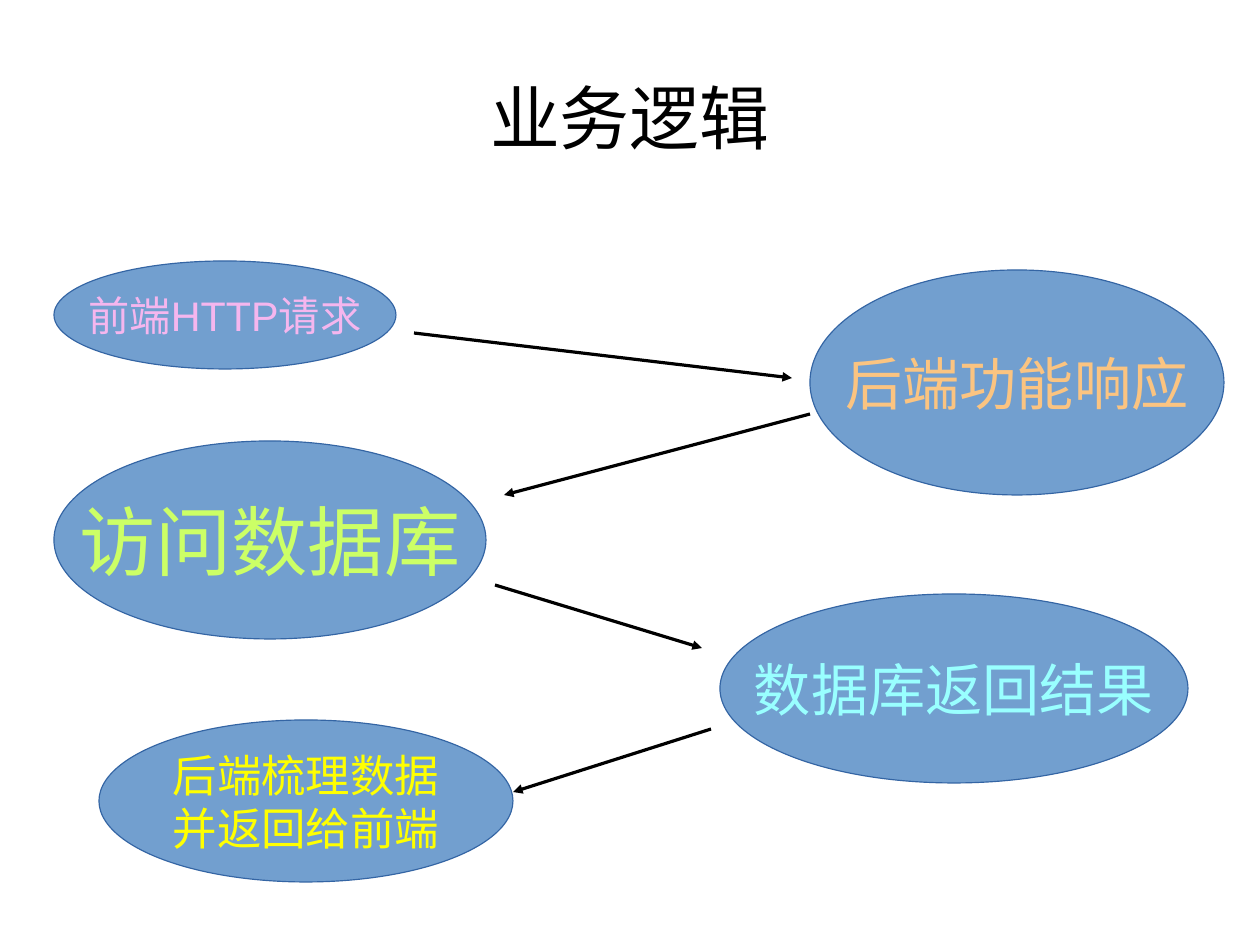
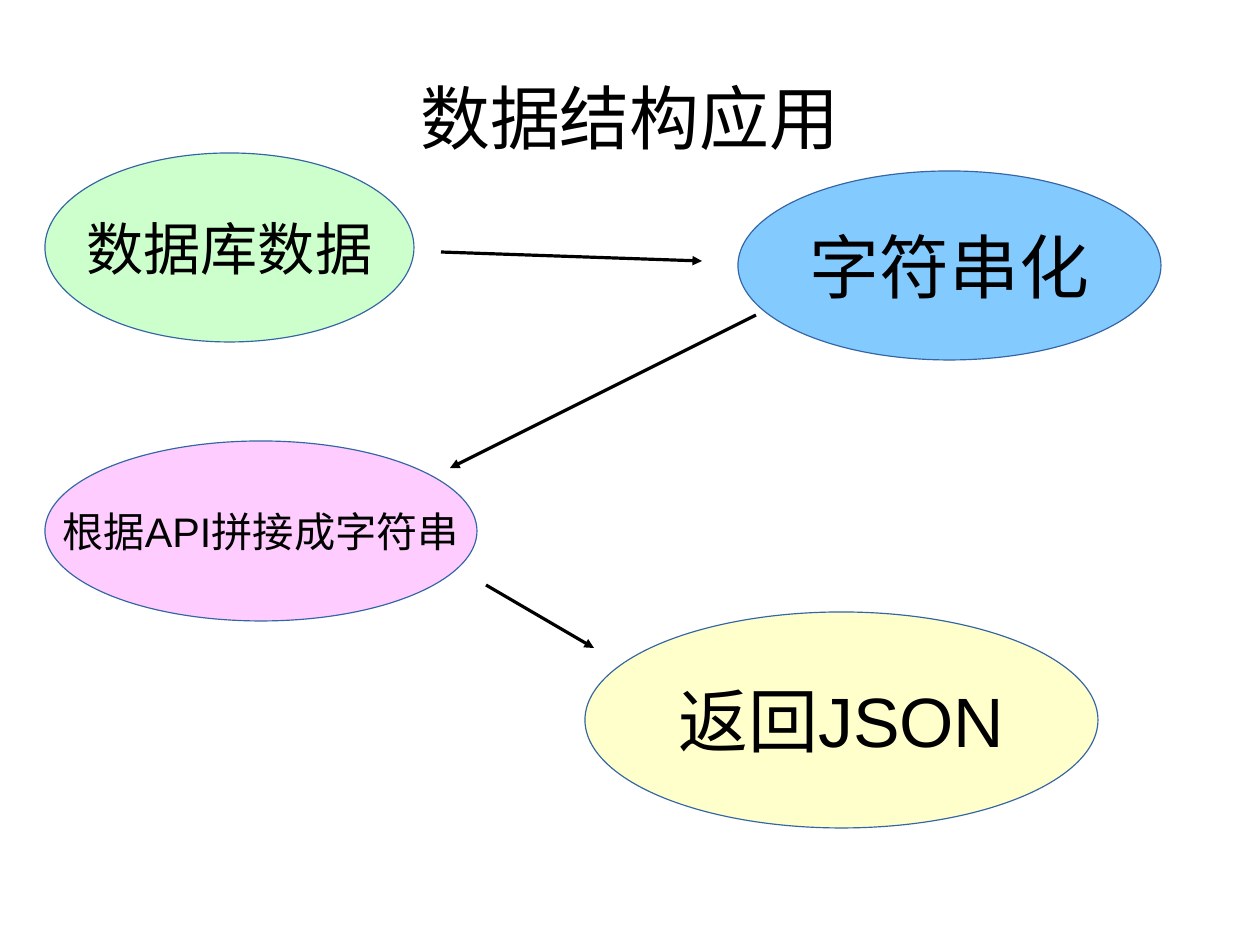
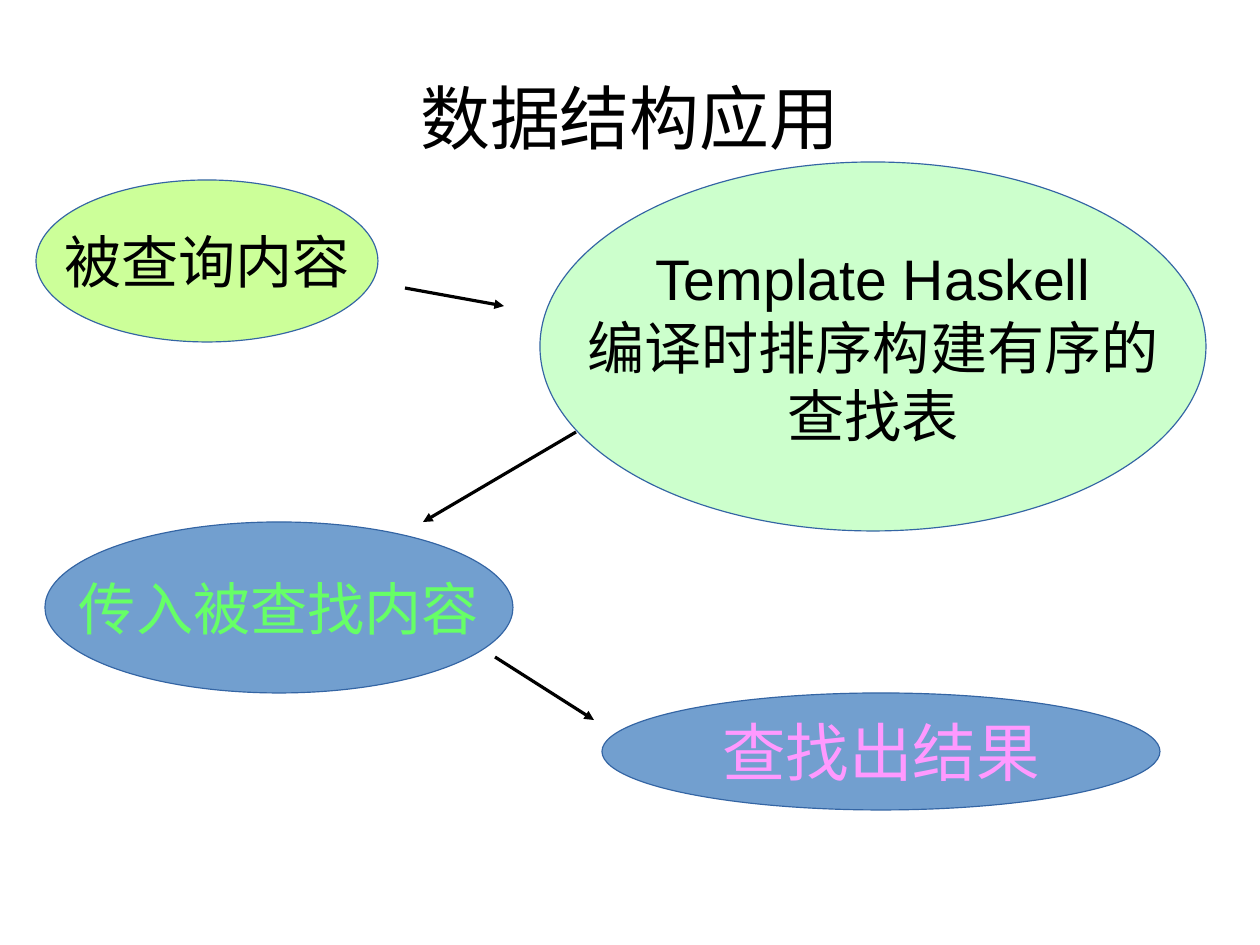
"""Build three flow slides of ellipses joined by arrows."""
from dataclasses import dataclass

from lxml.etree import SubElement
from pptx import Presentation
from pptx.dml.color import RGBColor
from pptx.enum.shapes import MSO_CONNECTOR, MSO_SHAPE
from pptx.enum.text import MSO_ANCHOR, MSO_AUTO_SIZE, PP_ALIGN
from pptx.oxml.ns import qn
from pptx.util import Emu, Pt


@dataclass(frozen=True)
class Theme:
    """Hold the colours, font and type sizes of the deck."""
    font: str = "Arial"
    black: str = "000000"
    outline: str = "3465A4"
    blue: str = "729FCF"
    sky: str = "83CAFF"
    mint: str = "CCFFCC"
    lime: str = "CCFF99"
    rose: str = "FFCCFF"
    cream: str = "FFFFCC"
    pink_text: str = "F5B6EE"
    orange_text: str = "FBC481"
    lime_text: str = "CCFF66"
    cyan_text: str = "99FFFF"
    yellow_text: str = "FFFF00"
    green_text: str = "66FF66"
    magenta_text: str = "FF99FF"
    small: int = 26
    compact: int = 28
    normal: int = 36
    big: int = 40
    title: int = 44
    huge: int = 48
    hairline: int = 0


THEME = Theme()
EMU_PER_PX = 8000
SLIDE_SIZE = (1260, 945)
TITLE_BOX = (63, 38, 1134, 158)
TITLE_ONLY = 5

LOGIC_STEPS = [
    ("前端HTTP请求", (54, 261, 342, 108), THEME.blue, THEME.pink_text, THEME.small),
    ("后端功能响应", (810, 270, 414, 225), THEME.blue, THEME.orange_text, THEME.normal),
    ("访问数据库", (54, 441, 432, 198), THEME.blue, THEME.lime_text, THEME.huge),
    ("数据库返回结果", (720, 594, 468, 189), THEME.blue, THEME.cyan_text, THEME.normal),
    ("后端梳理数据\n并返回给前端", (99, 720, 414, 162), THEME.blue, THEME.yellow_text, THEME.compact),
]
LOGIC_ARROWS = [
    (414, 333, 792, 378),
    (810, 414, 504, 495),
    (495, 585, 702, 648),
    (711, 729, 513, 792),
]
JSON_STEPS = [
    ("数据库数据", (45, 153, 369, 189), THEME.mint, THEME.black, THEME.normal),
    ("字符串化", (738, 171, 423, 189), THEME.sky, THEME.black, THEME.title),
    ("根据API拼接成字符串", (45, 441, 432, 180), THEME.rose, THEME.black, THEME.small),
    ("返回JSON", (585, 612, 513, 216), THEME.cream, THEME.black, THEME.title),
]
JSON_ARROWS = [
    (441, 252, 702, 261),
    (756, 315, 450, 468),
    (486, 585, 594, 648),
]
LOOKUP_STEPS = [
    ("被查询内容", (36, 180, 342, 162), THEME.lime, THEME.black, THEME.normal),
    ("Template Haskell\n编译时排序构建有序的\n查找表", (540, 162, 666, 369),
     THEME.mint, THEME.black, THEME.normal),
    ("传入被查找内容", (45, 522, 468, 171), THEME.blue, THEME.green_text, THEME.normal),
    ("查找出结果", (602, 693, 558, 117), THEME.blue, THEME.magenta_text, THEME.big),
]
LOOKUP_ARROWS = [
    (405, 288, 504, 306),
    (576, 432, 423, 522),
    (495, 657, 594, 720),
]


def px(*lengths):
    """Turn px lengths into EMU."""
    return [Emu(length * EMU_PER_PX) for length in lengths]


def write_text(frame, text, color, size):
    """Fill a text frame with centred text in one style."""
    frame.text = text
    frame.vertical_anchor = MSO_ANCHOR.MIDDLE
    for para in frame.paragraphs:
        para.alignment = PP_ALIGN.CENTER
        for span in para.runs:
            span.font.name = THEME.font
            span.font.size = Pt(size)
            span.font.color.rgb = RGBColor.from_string(color)


def add_title(slide, text):
    """Place and format the title placeholder."""
    title = slide.shapes.title
    title.left, title.top, title.width, title.height = px(*TITLE_BOX)
    frame = title.text_frame
    frame.auto_size = MSO_AUTO_SIZE.NONE
    frame.margin_left = frame.margin_top = frame.margin_right = frame.margin_bottom = 0
    write_text(frame, text, THEME.black, THEME.title)


def add_step(slide, text, box, fill, color, size):
    """Add an ellipse that holds one step of the flow."""
    step = slide.shapes.add_shape(MSO_SHAPE.OVAL, *px(*box))
    step.shadow.inherit = False
    step.fill.solid()
    step.fill.fore_color.rgb = RGBColor.from_string(fill)
    step.line.color.rgb = RGBColor.from_string(THEME.outline)
    step.line.width = Pt(THEME.hairline)
    step.text_frame.word_wrap = False
    write_text(step.text_frame, text, color, size)


def add_arrow(slide, ends):
    """Add a thin straight arrow."""
    arrow = slide.shapes.add_connector(MSO_CONNECTOR.STRAIGHT, *px(*ends))
    arrow.line.color.rgb = RGBColor.from_string(THEME.black)
    arrow.line.width = Pt(THEME.hairline)
    properties = arrow.element.spPr
    SubElement(properties.find(qn("a:ln")), qn("a:tailEnd"), type="triangle")
    SubElement(properties, qn("a:effectLst"))


def add_flow(deck, title, steps, arrows):
    """Add a slide with a title, its steps and its arrows."""
    slide = deck.slides.add_slide(deck.slide_layouts[TITLE_ONLY])
    add_title(slide, title)
    for step in steps:
        add_step(slide, *step)
    for ends in arrows:
        add_arrow(slide, ends)


def main():
    """Build and save the deck."""
    deck = Presentation()
    deck.slide_width, deck.slide_height = px(*SLIDE_SIZE)
    add_flow(deck, "业务逻辑", LOGIC_STEPS, LOGIC_ARROWS)
    add_flow(deck, "数据结构应用", JSON_STEPS, JSON_ARROWS)
    add_flow(deck, "数据结构应用", LOOKUP_STEPS, LOOKUP_ARROWS)
    deck.save("out.pptx")


if __name__ == "__main__":
    main()
